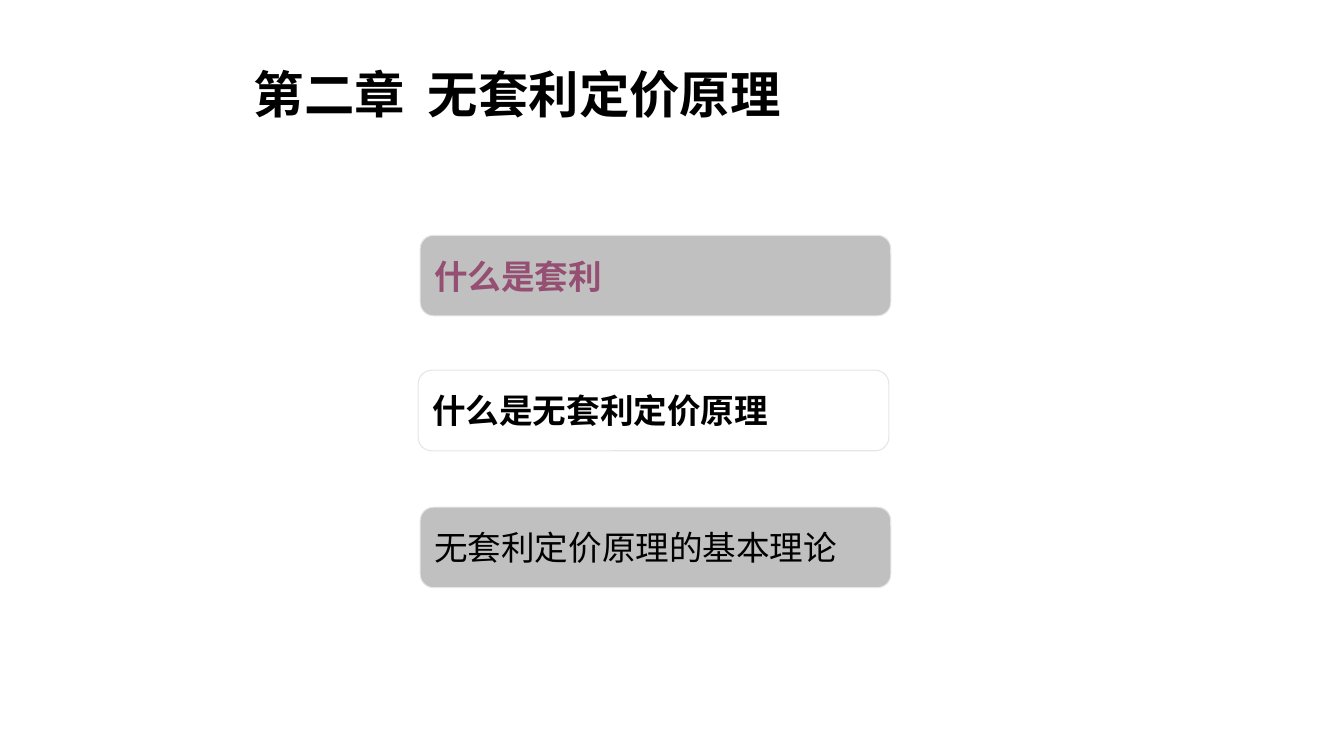
from dataclasses import dataclass

from lxml import etree
from pptx import Presentation
from pptx.dml.color import RGBColor
from pptx.enum.shapes import MSO_SHAPE
from pptx.enum.text import MSO_ANCHOR, PP_ALIGN
from pptx.oxml.ns import qn
from pptx.util import Cm, Pt

TOPIC_SHAPE = MSO_SHAPE.FLOWCHART_ALTERNATE_PROCESS
MIDDLE = MSO_ANCHOR.MIDDLE
LEFT = PP_ALIGN.LEFT

COLORS = {
    "black": "000000",
    "plum": "954F72",
    "grey": "C0C0C0",
    "outline": "E7E6E6",
}
CJK_FONT = "Noto Sans CJK SC"
TOPIC_WIDTH, TOPIC_HEIGHT = 11.86, 2.03


@dataclass
class Topic:
    text: str
    left: float
    top: float
    color: str = "black"
    fill: str | None = "grey"
    font: str = CJK_FONT
    bold: bool = True


TOPICS = [
    Topic("什么是套利", 10.59, 5.93, color="plum"),
    Topic("什么是无套利定价原理", 10.54, 9.33, fill=None),
    Topic("无套利定价原理的基本理论", 10.59, 12.78, font="Arial", bold=False),
]


def rgb(name: str) -> RGBColor:
    return RGBColor.from_string(COLORS[name])


def write(frame, text: str, size: int, color: str, font: str, bold: bool) -> None:
    frame.text = text
    frame.vertical_anchor = MIDDLE
    paragraph = frame.paragraphs[0]
    paragraph.alignment = LEFT
    run = paragraph.runs[0]
    run.font.size = Pt(size)
    run.font.bold = bold
    run.font.color.rgb = rgb(color)
    run.font.name = font
    # East Asian typeface
    etree.SubElement(run.font._element, qn("a:ea"), typeface=CJK_FONT)


def add_title(slide, text: str) -> None:
    title = slide.shapes.add_textbox(Cm(6.15), Cm(1.27), Cm(19.48), Cm(2.34))
    title.text_frame.word_wrap = True
    write(title.text_frame, text, 36, "black", CJK_FONT, True)
    title.text_frame.paragraphs[0].line_spacing = 0.9


def add_topic(slide, topic: Topic) -> None:
    box = slide.shapes.add_shape(TOPIC_SHAPE, Cm(topic.left), Cm(topic.top),
                                 Cm(TOPIC_WIDTH), Cm(TOPIC_HEIGHT))
    box.shadow.inherit = False
    if topic.fill:
        box.fill.solid()
        box.fill.fore_color.rgb = rgb(topic.fill)
    else:
        box.fill.background()
    box.line.color.rgb = rgb("outline")
    box.line.width = Pt(0.75)
    box.text_frame.word_wrap = False
    write(box.text_frame, topic.text, 24, topic.color, topic.font, topic.bold)


def main() -> None:
    deck = Presentation()
    deck.slide_width, deck.slide_height = Cm(33.87), Cm(19.05)
    slide = deck.slides.add_slide(deck.slide_layouts[6])

    # Chapter heading
    add_title(slide, "第二章  无套利定价原理")

    # Chapter topics
    for topic in TOPICS:
        add_topic(slide, topic)

    deck.save("out.pptx")


if __name__ == "__main__":
    main()
